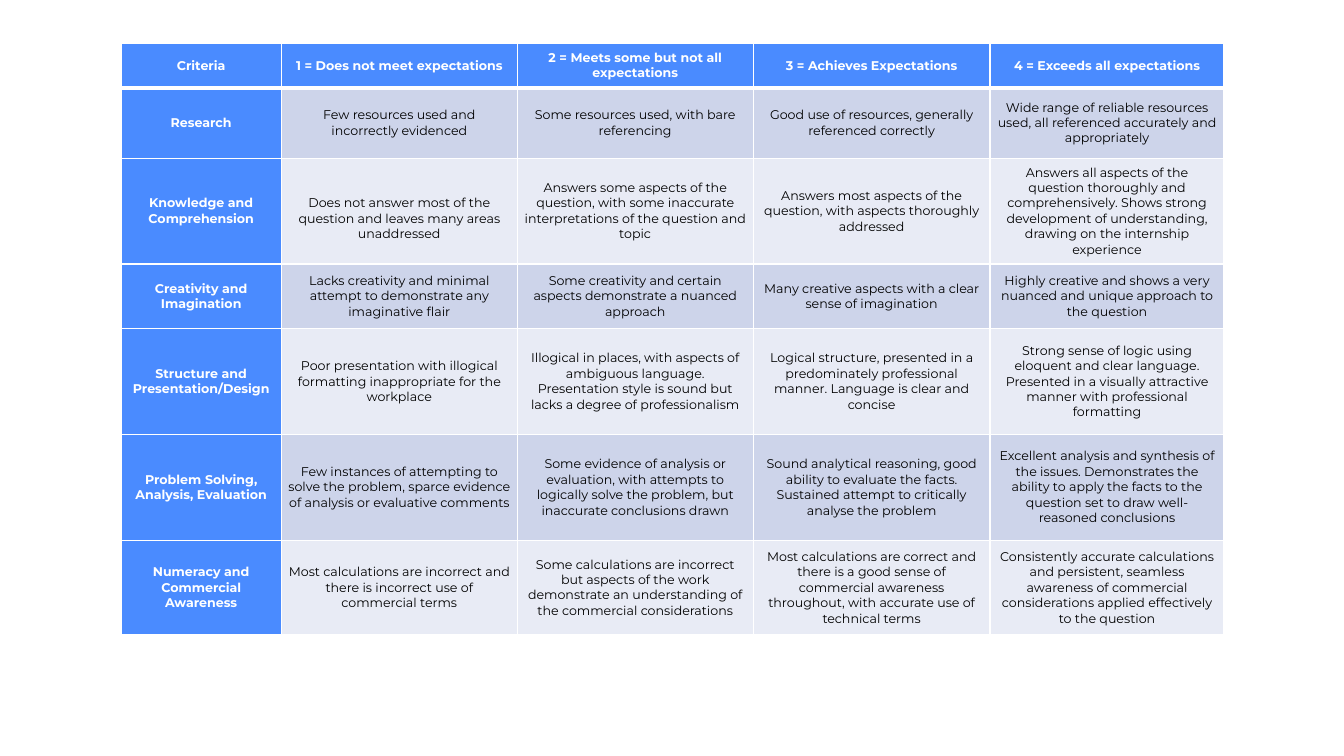
from lxml import etree
from pptx import Presentation
from pptx import util as u
from pptx.dml.color import RGBColor
from pptx.enum import text
from pptx.oxml import ns

BLUE = RGBColor(0x4A, 0x8B, 0xFF)
DARK_BAND = RGBColor(0xCD, 0xD4, 0xEA)
LIGHT_BAND = RGBColor(0xE8, 0xEB, 0xF5)
WHITE = RGBColor(0xFF, 0xFF, 0xFF)
BLACK = RGBColor(0, 0, 0)

COLUMN_WIDTHS = [1.59, 2.34, 2.34, 2.35, 2.32]
ROW_HEIGHTS = [0.44, 0.7, 1.05, 0.64, 1.05, 1.05, 0.94]
RUBRIC = [
    ["Criteria",
     "1 = Does not meet expectations",
     "2 = Meets some but not all expectations",
     "3 = Achieves Expectations",
     "4 = Exceeds all expectations"],
    ["Research",
     "Few resources used and incorrectly evidenced",
     "Some resources used, with bare referencing",
     "Good use of resources, generally referenced correctly",
     "Wide range of reliable resources used, all referenced accurately and appropriately"],
    ["Knowledge and Comprehension",
     "Does not answer most of the question and leaves many areas unaddressed",
     "Answers some aspects of the question, with some inaccurate interpretations of the question and topic",
     "Answers most aspects of the question, with aspects thoroughly addressed",
     "Answers all aspects of the question thoroughly and comprehensively. Shows strong development "
     "of understanding, drawing on the internship experience"],
    ["Creativity and Imagination",
     "Lacks creativity and minimal attempt to demonstrate any imaginative flair",
     "Some creativity and certain aspects demonstrate a nuanced approach",
     "Many creative aspects with a clear sense of imagination",
     "Highly creative and shows a very nuanced and unique approach to the question"],
    ["Structure and Presentation/Design",
     "Poor presentation with illogical formatting inappropriate for the workplace",
     "Illogical in places, with aspects of ambiguous language. Presentation style is sound but lacks "
     "a degree of professionalism",
     "Logical structure, presented in a predominately professional manner. Language is clear and concise",
     "Strong sense of logic using eloquent and clear language. Presented in a visually attractive "
     "manner with professional formatting"],
    ["Problem Solving, Analysis, Evaluation",
     "Few instances of attempting to solve the problem, sparce evidence of analysis or evaluative comments",
     "Some evidence of analysis or evaluation, with attempts to logically solve the problem, but "
     "inaccurate conclusions drawn",
     "Sound analytical reasoning, good ability to evaluate the facts. Sustained attempt to critically "
     "analyse the problem",
     "Excellent analysis and synthesis of the issues. Demonstrates the ability to apply the facts to "
     "the question set to draw well-reasoned conclusions"],
    ["Numeracy and Commercial Awareness",
     "Most calculations are incorrect and there is incorrect use of commercial terms",
     "Some calculations are incorrect but aspects of the work demonstrate an understanding of the "
     "commercial considerations",
     "Most calculations are correct and there is a good sense of commercial awareness throughout, "
     "with accurate use of technical terms",
     "Consistently accurate calculations and persistent, seamless awareness of commercial "
     "considerations applied effectively to the question"],
]


def add_border(cell, side, points):
    properties = cell._tc.get_or_add_tcPr()
    line = etree.SubElement(properties, ns.qn(f"a:ln{side}"), w=str(u.Pt(points)))
    fill = etree.SubElement(line, ns.qn("a:solidFill"))
    etree.SubElement(fill, ns.qn("a:srgbClr"), val=str(WHITE))


deck = Presentation()
deck.slide_width, deck.slide_height = u.Inches(13.33), u.Inches(7.5)
page = deck.slides.add_slide(deck.slide_layouts[6])

table = page.shapes.add_table(
    len(RUBRIC), len(COLUMN_WIDTHS), u.Inches(1.2), u.Inches(0.43),
    u.Inches(sum(COLUMN_WIDTHS)), u.Inches(sum(ROW_HEIGHTS))).table
for column, width in zip(table.columns, COLUMN_WIDTHS):
    column.width = u.Inches(width)
for row, height in zip(table.rows, ROW_HEIGHTS):
    row.height = u.Inches(height)

cell_format = {
    "vertical_anchor": text.MSO_ANCHOR.MIDDLE,
    "margin_left": u.Inches(0.07), "margin_right": u.Inches(0.07),
    "margin_top": 0, "margin_bottom": 0,
}
for r, entries in enumerate(RUBRIC):
    for c, entry in enumerate(entries):
        cell = table.cell(r, c)
        heading = r == 0 or c == 0
        for name, value in cell_format.items():
            setattr(cell, name, value)
        borders = {"L": 1, "R": 1, "T": 3 if r == 1 else 1, "B": 3 if r == 0 else 1}
        for side, points in borders.items():
            add_border(cell, side, points)
        cell.fill.solid()
        band = DARK_BAND if r % 2 else LIGHT_BAND
        cell.fill.fore_color.rgb = BLUE if heading else band

        para = cell.text_frame.paragraphs[0]
        para.alignment = text.PP_ALIGN.CENTER
        span = para.add_run()
        span.text = entry
        for name, value in {"name": "Montserrat", "size": u.Pt(9), "bold": heading}.items():
            setattr(span.font, name, value)
        span.font.color.rgb = WHITE if heading else BLACK

# The first Knowledge answer sits half a line below the middle of its row.
table.cell(2, 1).margin_top = u.Inches(0.15)

deck.save("out.pptx")
